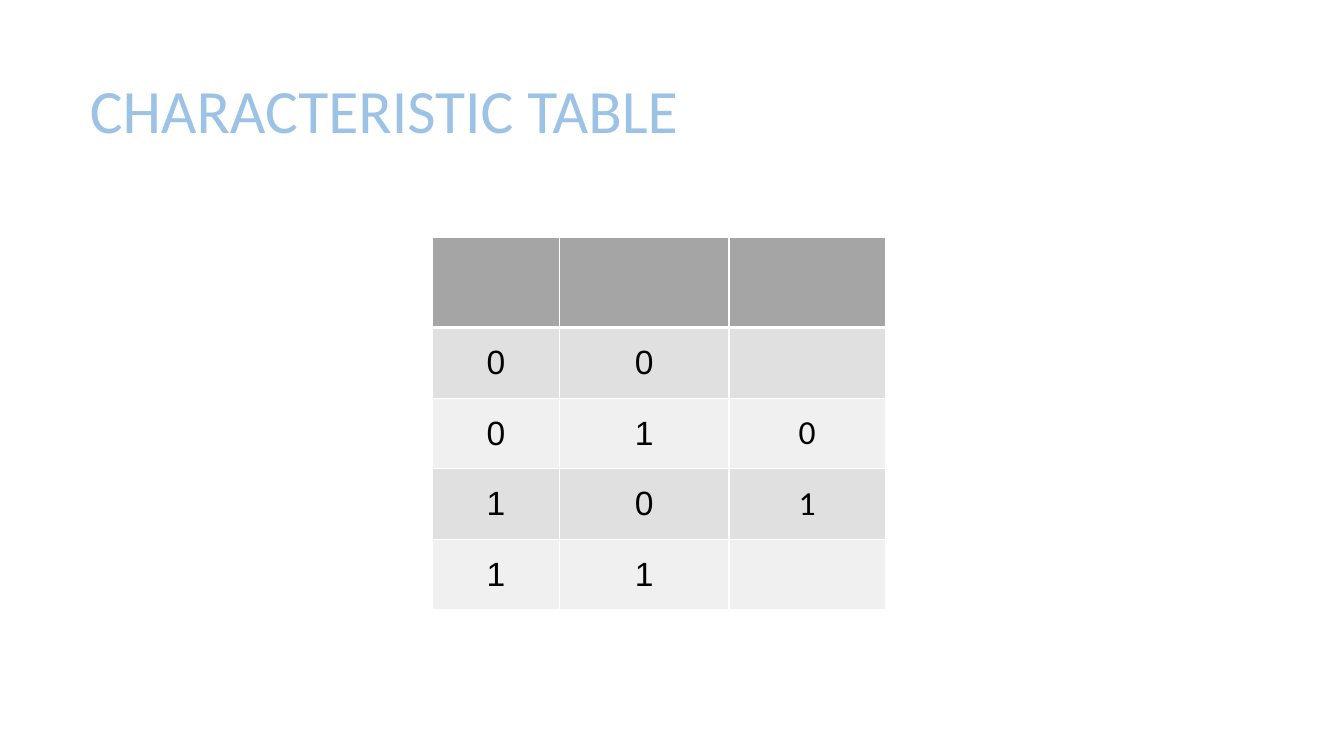
"""Build the characteristic table slide."""
from lxml.etree import SubElement
from pptx import Presentation
from pptx.dml.color import RGBColor as Color
from pptx.enum.text import MSO_ANCHOR as Anchor, PP_ALIGN as Align
from pptx.oxml.ns import qn
from pptx.util import Inches, Pt

TITLE = "CHARACTERISTIC TABLE"
ROWS = [
    ("", "", ""),
    ("0", "0", ""),
    ("0", "1", "0"),
    ("1", "0", "1"),
    ("1", "1", ""),
]
WIDTHS = [1.26, 1.68, 1.55]
HEIGHTS = [0.89] + [0.7] * 4
FONTS = ["Arial", "Arial", "Calibri"]
HEAD, BANDS = "A5A5A5", ["F0F0F0", "E0E0E0"]
EDGE = "FFFFFF"
TITLE_BOX = dict(left=0.79, top=0.4, width=7.88, height=1.45)
TABLE_AT = (4.29, 2.36)


def style(font, color, **form):
    for name, value in form.items():
        setattr(font, name, value)
    font.color.rgb = Color.from_string(color)


def border(cell, side, width):
    props = cell._tc.get_or_add_tcPr()
    line = SubElement(props, qn("a:ln" + side), w=str(Pt(width)))
    fill = SubElement(line, qn("a:solidFill"))
    SubElement(fill, qn("a:srgbClr"), val=EDGE)


def add_title(slide):
    title = slide.shapes.title
    for name, value in TITLE_BOX.items():
        setattr(title, name, Inches(value))
    frame = title.text_frame
    frame.text = TITLE
    frame.word_wrap = True
    frame.vertical_anchor = Anchor.MIDDLE
    para = frame.paragraphs[0]
    para.alignment = Align.LEFT
    para.line_spacing = 0.9
    style(para.runs[0].font, "9CC2E5", name="Calibri", size=Pt(44))


def fill_cell(cell, text, row, col):
    for side in "LRTB":
        thick = (row, side) in [(0, "B"), (1, "T")]
        border(cell, side, 3 if thick else 1)
    cell.fill.solid()
    shade = BANDS[row % 2] if row else HEAD
    cell.fill.fore_color.rgb = Color.from_string(shade)
    cell.vertical_anchor = Anchor.MIDDLE
    if text:
        cell.text = text
        para = cell.text_frame.paragraphs[0]
        para.alignment = Align.CENTER
        style(para.runs[0].font, "000000", name=FONTS[col], size=Pt(24), bold=False)


def add_grid(slide):
    box = [*TABLE_AT, sum(WIDTHS), sum(HEIGHTS)]
    table = slide.shapes.add_table(len(ROWS), len(WIDTHS), *map(Inches, box)).table
    for col, width in zip(table.columns, WIDTHS):
        col.width = Inches(width)
    for row, height in zip(table.rows, HEIGHTS):
        row.height = Inches(height)
    for r, texts in enumerate(ROWS):
        for c, text in enumerate(texts):
            fill_cell(table.cell(r, c), text, r, c)


def main():
    deck = Presentation()
    deck.slide_width, deck.slide_height = Inches(13.33), Inches(7.5)
    slide = deck.slides.add_slide(deck.slide_layouts[5])
    add_title(slide)
    add_grid(slide)
    deck.save("out.pptx")


if __name__ == "__main__":
    main()
